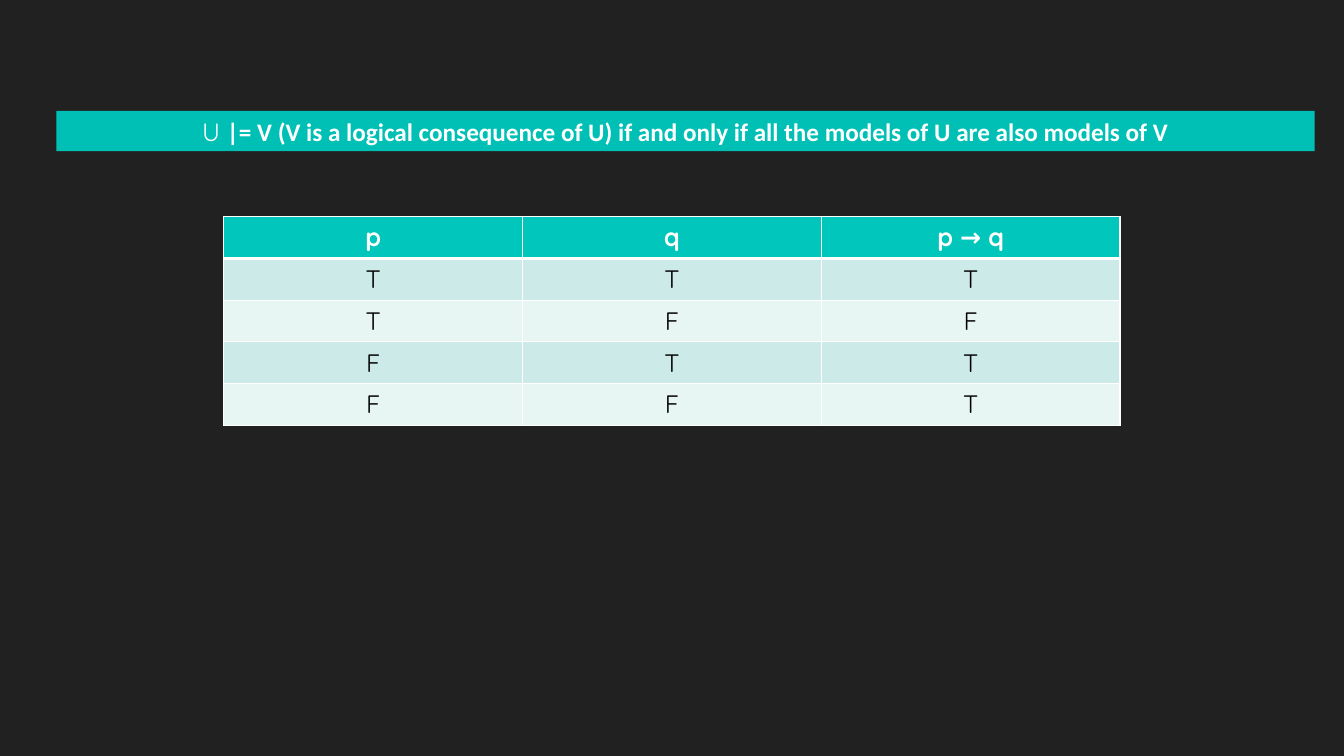
import pptx
import pptx.dml.color
import pptx.enum.shapes
import pptx.enum.text
import pptx.oxml.ns
import pptx.util
from lxml import etree
from pptx.util import Inches

COLOURS = {
    "background": "212121",
    "banner": "00C0B6",
    "header": "00C6BB",
    "odd row": "CCEAE7",
    "even row": "E7F5F3",
    "light": "FFFFFF",
    "dark": "000000",
}
STATEMENT = [
    ("U ", "Quicksand", False),
    ("|= V (V is a logical consequence of U) if and only if "
     "all the models of U are also models of V", "Calibri", True),
]
TRUTH_TABLE = [
    ("p", "q", "p → q"),
    ("T", "T", "T"),
    ("T", "F", "F"),
    ("F", "T", "T"),
    ("F", "F", "T"),
]
BANNER_BOX = (0.56, 1.1, 12.48, 0.4)
TABLE_BOX = (2.22, 2.15, 8.89, 2.03)
TEXT_SIZE = 18
THIN, THICK = 1, 3


def rgb(name):
    return pptx.dml.color.RGBColor.from_string(COLOURS[name])


def paint(fill, name):
    fill.solid()
    fill.fore_color.rgb = rgb(name)


def add_run(paragraph, text, font, bold, colour):
    paragraph.alignment = pptx.enum.text.PP_ALIGN.CENTER
    run = paragraph.add_run()
    run.text = text
    run.font.name = font
    run.font.size = pptx.util.Pt(TEXT_SIZE)
    run.font.bold = bold
    run.font.color.rgb = rgb(colour)


def set_borders(cell, widths):
    """Draw left, right, top and bottom lines; they must precede the cell's fill."""
    qn = pptx.oxml.ns.qn
    properties = cell._tc.get_or_add_tcPr()
    for index, (side, width) in enumerate(zip("LRTB", widths)):
        line = etree.Element(qn(f"a:ln{side}"), w=str(pptx.util.Pt(width)))
        solid = etree.SubElement(line, qn("a:solidFill"))
        etree.SubElement(solid, qn("a:srgbClr"), val=COLOURS["light"])
        properties.insert(index, line)


def add_banner(slide):
    banner = slide.shapes.add_shape(
        pptx.enum.shapes.MSO_SHAPE.RECTANGLE, *map(Inches, BANNER_BOX))
    banner.shadow.inherit = False
    paint(banner.fill, "banner")
    banner.line.fill.background()
    banner.text_frame.word_wrap = True
    for text, font, bold in STATEMENT:
        add_run(banner.text_frame.paragraphs[0], text, font, bold, "light")


def add_truth_table(slide):
    table = slide.shapes.add_table(
        len(TRUTH_TABLE), len(TRUTH_TABLE[0]), *map(Inches, TABLE_BOX)).table
    for row, values in enumerate(TRUTH_TABLE):
        is_header = row == 0
        if is_header:
            fill = "header"
        else:
            fill = "odd row" if row % 2 else "even row"
        top = THICK if row == 1 else THIN
        bottom = THICK if is_header else THIN
        for column, value in enumerate(values):
            cell = table.cell(row, column)
            paint(cell.fill, fill)
            set_borders(cell, (THIN, THIN, top, bottom))
            add_run(cell.text_frame.paragraphs[0], value, "Quicksand",
                    is_header, "light" if is_header else "dark")


def main():
    presentation = pptx.Presentation()
    presentation.slide_width = Inches(13.33)
    presentation.slide_height = Inches(7.5)
    slide = presentation.slides.add_slide(presentation.slide_layouts[6])
    paint(slide.background.fill, "background")
    add_banner(slide)
    add_truth_table(slide)
    presentation.save("out.pptx")


if __name__ == "__main__":
    main()
